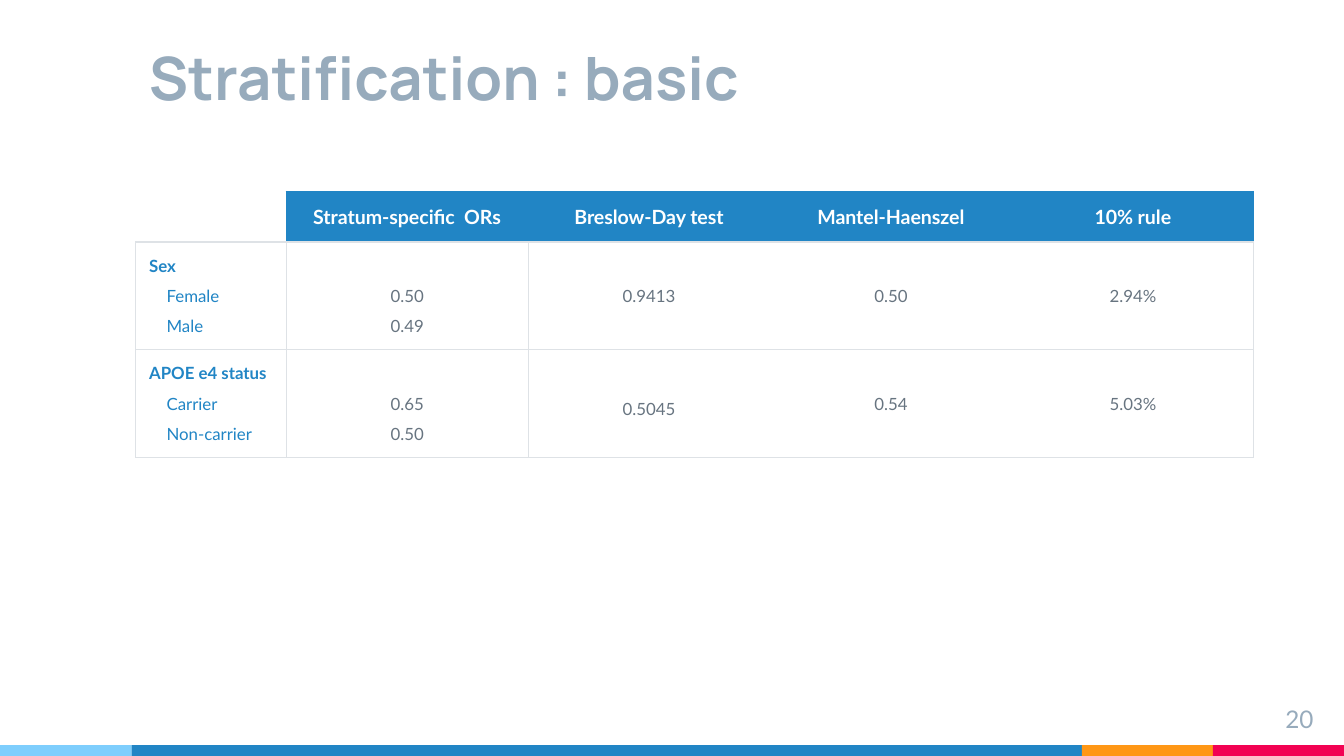
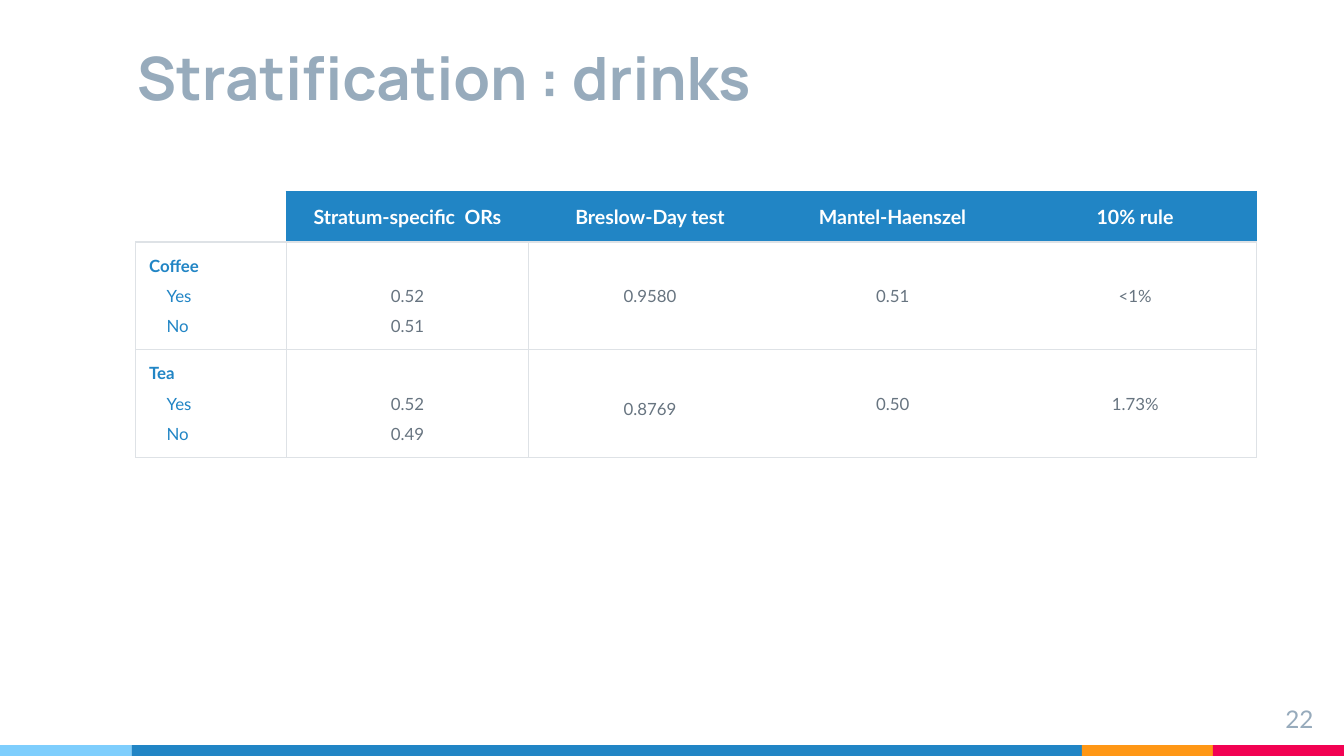
from dataclasses import dataclass

import pptx
import pptx.dml.color
import pptx.enum.shapes
import pptx.enum.text
import pptx.oxml.ns
import pptx.util
from lxml import etree

ALIGN = pptx.enum.text.PP_ALIGN
ANCHOR = pptx.enum.text.MSO_ANCHOR

# The slide is a grid of 100 columns by 56.25 rows of square units.
COLUMNS, ROWS = 100, 56.25
UNIT = pptx.util.Inches(0.1)
INSET = 1
NO_STYLE_TABLE = "{2D5ABB26-0587-4C30-8999-92F81FD0307C}"


@dataclass(frozen=True)
class Theme:
    sky: str = "7ECEFD"
    blue: str = "2185C5"
    orange: str = "FF9715"
    red: str = "F20253"
    slate: str = "97ABBC"
    body: str = "677480"
    rule: str = "DEE2E6"
    white: str = "FFFFFF"
    heading_font: str = "Manrope"
    text_font: str = "Lato"
    title_size: float = 32
    number_size: float = 13
    header_size: float = 10.5
    body_size: float = 9
    rule_width: float = 0.75


THEME = Theme()
FOOTER_BANDS = [
    (9.8, THEME.sky),
    (70.7, THEME.blue),
    (9.75, THEME.orange),
    (9.75, THEME.red),
]
BAND_HEIGHT = 0.8
TABLE_LEFT, TABLE_TOP = 10.1, 14.25
LABEL_WIDTH = 11.2
HEADER_HEIGHT, STRATUM_HEIGHT = 3.75, 8
LEVEL_INDENT = 1.3
LEVEL_SPACING = 1.5
HEADERS = ["Stratum-specific  ORs", "Breslow-Day test", "Mantel-Haenszel", "10% rule"]


def grid(units):
    return round(units * UNIT)


def apply_formats(target, formats):
    for attribute, value in formats.items():
        setattr(target, attribute, value)


def rgb(colour):
    return pptx.dml.color.RGBColor.from_string(colour)


def write_line(paragraph, text, size, colour, bold=False, font=THEME.text_font, **formats):
    run = paragraph.add_run()
    run.text = text
    apply_formats(run.font, {"name": font, "size": pptx.util.Pt(size), "bold": bold})
    run.font.color.rgb = rgb(colour)
    apply_formats(paragraph, formats)


def pad(holder):
    sides = ("margin_left", "margin_right", "margin_top", "margin_bottom")
    apply_formats(holder, dict.fromkeys(sides, grid(INSET)))


def add_text(slide, box, text, anchor, **formats):
    frame = slide.shapes.add_textbox(*map(grid, box)).text_frame
    apply_formats(frame, {"word_wrap": True, "vertical_anchor": anchor})
    pad(frame)
    write_line(frame.paragraphs[0], text, **formats)


def add_footer(slide, number):
    left = 0
    for width, colour in FOOTER_BANDS:
        band = slide.shapes.add_shape(
            pptx.enum.shapes.MSO_SHAPE.RECTANGLE,
            *map(grid, (left, ROWS - BAND_HEIGHT, width, BAND_HEIGHT)),
        )
        band.shadow.inherit = False
        band.fill.solid()
        band.fill.fore_color.rgb = rgb(colour)
        band.line.fill.background()
        left += width
    add_text(slide, (92.7, 51.4, 6, 3.4), number, ANCHOR.TOP,
             size=THEME.number_size, colour=THEME.slate, alignment=ALIGN.RIGHT)


def add_title(slide, left, title):
    add_text(slide, (left, 0, 70.7, 9.4), title, ANCHOR.BOTTOM,
             size=THEME.title_size, colour=THEME.slate, bold=True, font=THEME.heading_font)


def draw_borders(cell, **edges):
    """Rule the named edges (L, R, T, B), in the order the schema asks for."""
    properties = cell._tc.get_or_add_tcPr()
    ruled = [edge for edge in "LRTB" if edge in edges]
    for position, edge in enumerate(ruled):
        border = etree.Element(pptx.oxml.ns.qn(f"a:ln{edge}"),
                               w=str(pptx.util.Pt(THEME.rule_width)))
        fill = etree.SubElement(border, pptx.oxml.ns.qn("a:solidFill"))
        etree.SubElement(fill, pptx.oxml.ns.qn("a:srgbClr"), val=edges[edge])
        properties.insert(position, border)


def prepare_cell(cell, anchor=ANCHOR.MIDDLE):
    pad(cell)
    cell.vertical_anchor = anchor
    cell.fill.background()
    return cell.text_frame


def fill_header(header_cells):
    corner, *headings = header_cells
    corner_line = prepare_cell(corner).paragraphs[0]._p
    etree.SubElement(corner_line, pptx.oxml.ns.qn("a:endParaRPr"),
                     sz=str(round(THEME.body_size * 100)))
    draw_borders(corner, R=THEME.blue, B=THEME.rule)
    for heading, text in zip(headings, HEADERS):
        write_line(prepare_cell(heading).paragraphs[0], text, THEME.header_size,
                   THEME.white, bold=True, alignment=ALIGN.CENTER)
        heading.fill.solid()
        heading.fill.fore_color.rgb = rgb(THEME.blue)
        edges = {"T": THEME.blue, "B": THEME.rule}
        if heading is headings[0]:
            edges["L"] = THEME.blue
        if heading is headings[-1]:
            edges["R"] = THEME.blue
        draw_borders(heading, **edges)


def fill_label(cell, factor, levels):
    frame = prepare_cell(cell)
    write_line(frame.paragraphs[0], factor, THEME.body_size, THEME.blue, bold=True)
    for level in levels:
        paragraph = frame.add_paragraph()
        write_line(paragraph, level, THEME.body_size, THEME.blue, line_spacing=LEVEL_SPACING)
        paragraph._p.get_or_add_pPr().set("marL", str(grid(LEVEL_INDENT)))
    draw_borders(cell, **dict.fromkeys("LRTB", THEME.rule))


def fill_odds_ratios(cell, ratios):
    """Stand the ratios on the cell's floor, level with their strata."""
    frame = prepare_cell(cell, ANCHOR.BOTTOM)
    for index, ratio in enumerate(ratios):
        paragraph = frame.add_paragraph() if index else frame.paragraphs[0]
        write_line(paragraph, ratio, THEME.body_size, THEME.body,
                   alignment=ALIGN.CENTER, line_spacing=LEVEL_SPACING)
    draw_borders(cell, **dict.fromkeys("LTB", THEME.rule))


def fill_statistic(cell, value, edges, spacing):
    write_line(prepare_cell(cell).paragraphs[0], value, THEME.body_size, THEME.body,
               alignment=ALIGN.CENTER, line_spacing=spacing)
    draw_borders(cell, **dict.fromkeys(edges, THEME.rule))


def add_strata_table(slide, width, strata):
    heights = [HEADER_HEIGHT] + [STRATUM_HEIGHT] * len(strata)
    widths = [LABEL_WIDTH] + [(width - LABEL_WIDTH) / len(HEADERS)] * len(HEADERS)
    table = slide.shapes.add_table(
        len(heights), len(widths),
        *map(grid, (TABLE_LEFT, TABLE_TOP, width, sum(heights))),
    ).table
    apply_formats(table, {"first_row": False, "horz_banding": False})
    table._tbl.tblPr.find(pptx.oxml.ns.qn("a:tableStyleId")).text = NO_STYLE_TABLE
    for column, column_width in zip(table.columns, widths):
        column.width = grid(column_width)
    for row, height in zip(table.rows, heights):
        row.height = grid(height)

    header, *stratum_rows = table.rows
    fill_header(list(header.cells))
    for row, (factor, levels, ratios, statistics) in zip(stratum_rows, strata):
        label, odds, *results = row.cells
        fill_label(label, factor, levels)
        fill_odds_ratios(odds, ratios)
        last_row = row is stratum_rows[-1]
        for cell, value, edges in zip(results, statistics, ("TB", "TB", "RTB")):
            lowered = last_row and cell is results[0]
            fill_statistic(cell, value, edges, LEVEL_SPACING if lowered else 1.0)


STRATIFICATIONS = [
    {
        "title": "Stratification : basic", "title_left": 10.1,
        "number": "20", "table_width": 83.2,
        "strata": [
            ("Sex", ["Female", "Male"], ["0.50", "0.49"], ["0.9413", "0.50", "2.94%"]),
            ("APOE e4 status", ["Carrier", "Non-carrier"], ["0.65", "0.50"],
             ["0.5045", "0.54", "5.03%"]),
        ],
    },
    {
        "title": "Stratification : drinks", "title_left": 9.2,
        "number": "22", "table_width": 83.4,
        "strata": [
            ("Coffee", ["Yes", "No"], ["0.52", "0.51"], ["0.9580", "0.51", "<1%"]),
            ("Tea", ["Yes", "No"], ["0.52", "0.49"], ["0.8769", "0.50", "1.73%"]),
        ],
    },
]


def main():
    deck = pptx.Presentation()
    apply_formats(deck, {"slide_width": grid(COLUMNS), "slide_height": grid(ROWS)})
    blank = deck.slide_layouts[6]
    for content in STRATIFICATIONS:
        slide = deck.slides.add_slide(blank)
        add_footer(slide, content["number"])
        add_title(slide, content["title_left"], content["title"])
        add_strata_table(slide, content["table_width"], content["strata"])
    deck.save("out.pptx")


if __name__ == "__main__":
    main()
